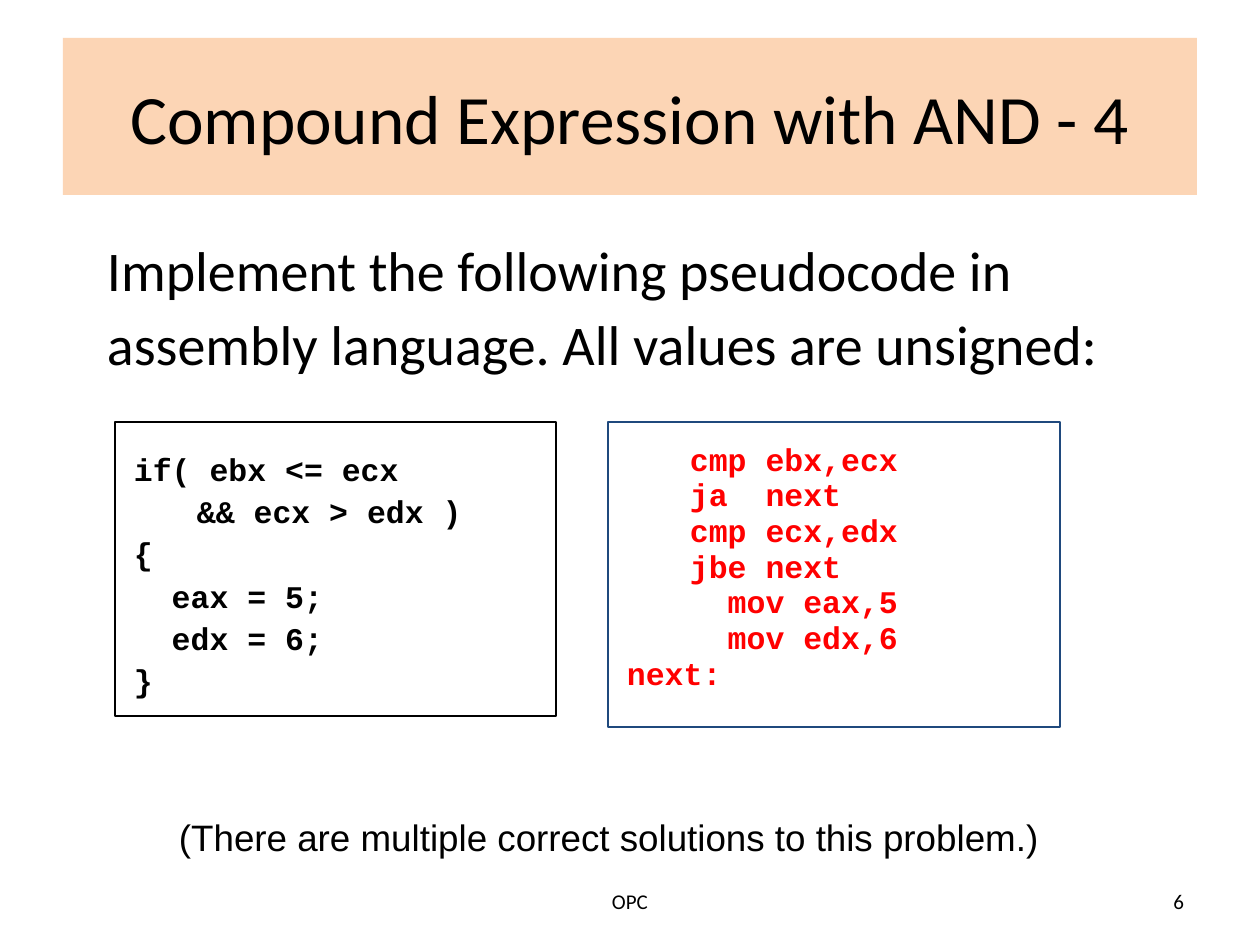
import pptx
import pptx.util
import pptx.dml.color
import pptx.enum.shapes
import pptx.enum.text

PX = 914400 // 126
ALIGN = pptx.enum.text.PP_ALIGN
ANCHOR = pptx.enum.text.MSO_ANCHOR


def px(length):
    return pptx.util.Emu(length * PX)


def color(hex_string):
    return pptx.dml.color.RGBColor.from_string(hex_string)


def write_lines(frame, lines, font, ink="000000", align=ALIGN.LEFT,
                anchor=ANCHOR.TOP, insets=(13, 6, 13, 6), spacing=1.0, gap=0):
    left, top, right, bottom = insets
    frame_format = {
        "word_wrap": True, "vertical_anchor": anchor,
        "margin_left": px(left), "margin_top": px(top),
        "margin_right": px(right), "margin_bottom": px(bottom),
    }
    for name, value in frame_format.items():
        setattr(frame, name, value)
    for index, (line, indent) in enumerate(lines):
        paragraph = frame.add_paragraph() if index else frame.paragraphs[0]
        paragraph.alignment = align
        paragraph.line_spacing = spacing
        paragraph.space_before = pptx.util.Pt(gap if index else 0)
        if indent:
            properties = paragraph._p.get_or_add_pPr()
            properties.set("marL", str(px(indent)))
            properties.set("indent", "0")
        run = paragraph.add_run()
        run.text = line
        for name, value in font.items():
            setattr(run.font, name, value)
        run.font.color.rgb = color(ink)


def add_panel(slide, box, fill=None, outline=None):
    panel = slide.shapes.add_shape(
        pptx.enum.shapes.MSO_SHAPE.RECTANGLE, *map(px, box))
    panel.shadow.inherit = False
    if fill:
        panel.fill.solid()
        panel.fill.fore_color.rgb = color(fill)
    else:
        panel.fill.background()
    if outline:
        panel.line.color.rgb = color(outline)
        panel.line.width = pptx.util.Pt(0.75)
    else:
        panel.line.fill.background()
    return panel.text_frame


def add_label(slide, box, text, face, size, **layout):
    frame = slide.shapes.add_textbox(*map(px, box)).text_frame
    font = {"name": face, "size": pptx.util.Pt(size)}
    write_lines(frame, [(text, 0)], font, **layout)


def add_title(slide, box, text):
    font = {"name": "Calibri", "size": pptx.util.Pt(39.6)}
    write_lines(add_panel(slide, box, fill="FCD5B5"), [(text, 0)], font,
                align=ALIGN.CENTER, anchor=ANCHOR.MIDDLE)


def add_code(slide, box, lines, outline, ink, top_inset, spacing, gap):
    font = {"name": "Courier New", "size": pptx.util.Pt(18), "bold": True}
    write_lines(add_panel(slide, box, outline=outline), lines, font, ink,
                insets=(19, top_inset, 19, 25), spacing=spacing, gap=gap)


def add_footer(slide, box, course, number):
    left, top, width, height = box
    add_label(slide, (left, top, 400, height), course, "Calibri", 12,
              align=ALIGN.CENTER, anchor=ANCHOR.MIDDLE)
    add_label(slide, (left + width - 294, top, 294, height), number, "Calibri", 12,
              align=ALIGN.RIGHT, anchor=ANCHOR.MIDDLE)


def build_exercise(presentation):
    slide = presentation.slides.add_slide(presentation.slide_layouts[6])
    add_title(slide, (63, 38, 1134, 157), "Compound Expression with AND - 4")
    add_label(slide, (94, 212, 1071, 167),
              "Implement the following pseudocode in assembly language. "
              "All values are unsigned:",
              "Calibri", 32, insets=(13, 17, 13, 6), spacing=1.1)
    pseudocode = [("if( ebx <= ecx", 0), ("&& ecx > edx )", 63), ("{", 0),
                  ("  eax = 5;", 0), ("  edx = 6;", 0), ("}", 0)]
    instructions = ["cmp ebx,ecx", "ja  next", "cmp ecx,edx", "jbe next",
                    "  mov eax,5", "  mov edx,6"]
    assembly = [(line, 63) for line in instructions] + [("next:", 0)]
    add_code(slide, (608, 422, 452, 305), assembly, "1F497D", "FF0000", 34, 0.5, 9.6)
    add_code(slide, (115, 422, 441, 294), pseudocode, "000000", "000000", 32, 0.9, 4.7)
    add_label(slide, (110, 793, 998, 82),
              "(There are multiple correct solutions to this problem.)",
              "Arial", 21, align=ALIGN.CENTER, insets=(13, 22, 13, 19))
    add_footer(slide, (430, 876, 767, 50), "OPC", "6")


def main():
    presentation = pptx.Presentation()
    presentation.slide_width, presentation.slide_height = px(1260), px(945)
    build_exercise(presentation)
    presentation.save("out.pptx")


if __name__ == "__main__":
    main()
